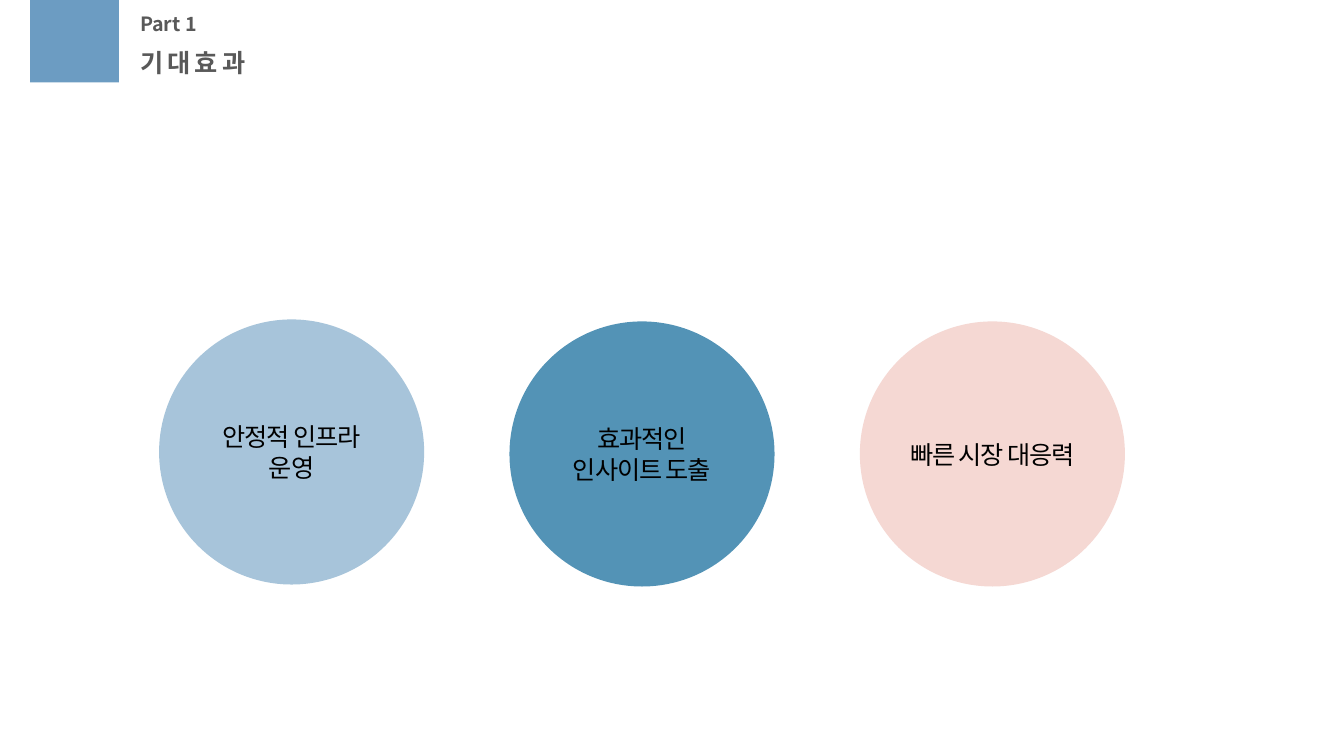
from dataclasses import dataclass

from lxml import etree
from pptx import Presentation
from pptx.dml.color import RGBColor
from pptx.enum.shapes import MSO_SHAPE
from pptx.enum.text import MSO_ANCHOR, MSO_AUTO_SIZE, PP_ALIGN
from pptx.oxml.ns import qn
from pptx.util import Cm, Pt

RECTANGLE, OVAL = MSO_SHAPE.RECTANGLE, MSO_SHAPE.OVAL
MIDDLE = MSO_ANCHOR.MIDDLE
LEFT, CENTER = PP_ALIGN.LEFT, PP_ALIGN.CENTER
FIT_SHAPE = MSO_AUTO_SIZE.SHAPE_TO_FIT_TEXT


@dataclass(frozen=True)
class Theme:
    font: str = "Noto Sans CJK KR"
    marker: str = "6C9CC2"
    light_blue: str = "A7C4DA"
    deep_blue: str = "5393B6"
    pink: str = "F5D8D3"
    heading: str = "595959"
    body: str = "000000"
    part_size: int = 14
    main_size: int = 18


THEME = Theme()
CIRCLE_SIZE = 6.68
CIRCLE_LEFT = 4.01
CIRCLE_PITCH = 8.83
EFFECTS = [
    ("안정적 인프라\n운영", THEME.light_blue, 8.05),
    ("효과적인\n인사이트 도출", THEME.deep_blue, 8.1),
    ("빠른 시장 대응력", THEME.pink, 8.1),
]


def write_text(frame, text, *, size, color, bold=False, spacing=0, align=LEFT):
    """Write one paragraph per line; spacing is between letters, in points."""
    for index, line in enumerate(text.split("\n")):
        para = frame.add_paragraph() if index else frame.paragraphs[0]
        para.alignment = align
        span = para.add_run()
        span.text = line
        span.font.name = THEME.font
        span.font.size = Pt(size)
        span.font.bold = bold
        span.font.color.rgb = RGBColor.from_string(color)
        properties = span.font._element
        properties.set("spc", str(round(spacing * 100)))
        etree.SubElement(properties, qn("a:ea"), typeface=THEME.font)


def add_filled_shape(page, kind, left, top, width, height, color):
    shape = page.shapes.add_shape(kind, Cm(left), Cm(top), Cm(width), Cm(height))
    shape.shadow.inherit = False
    shape.fill.solid()
    shape.fill.fore_color.rgb = RGBColor.from_string(color)
    shape.line.fill.background()
    return shape


def add_heading(page, text, top, width, height, size, spacing=0):
    box = page.shapes.add_textbox(Cm(3.28), Cm(top), Cm(width), Cm(height))
    frame = box.text_frame
    frame.word_wrap = False
    frame.auto_size = FIT_SHAPE
    write_text(frame, text, size=size, color=THEME.heading, bold=True, spacing=spacing)


def add_effect_circle(page, text, left, top, color):
    circle = add_filled_shape(page, OVAL, left, top, CIRCLE_SIZE, CIRCLE_SIZE, color)
    frame = circle.text_frame
    frame.word_wrap = True
    frame.vertical_anchor = MIDDLE
    frame.margin_left = frame.margin_right = 0
    frame.margin_top = frame.margin_bottom = 0
    write_text(frame, text, size=THEME.main_size, color=THEME.body,
               spacing=-0.8, align=CENTER)


def main():
    deck = Presentation()
    deck.slide_width, deck.slide_height = Cm(33.87), Cm(19.05)
    page = deck.slides.add_slide(deck.slide_layouts[6])

    add_filled_shape(page, RECTANGLE, 0.76, 0, 2.24, 2.08, THEME.marker)
    add_heading(page, "Part 1", 0.18, 1.96, 0.86, THEME.part_size)
    add_heading(page, "기대효과", 1.07, 3.51, 1.02, THEME.main_size, spacing=3)
    for index, (text, color, top) in enumerate(EFFECTS):
        add_effect_circle(page, text, CIRCLE_LEFT + index * CIRCLE_PITCH, top, color)

    deck.save("out.pptx")


if __name__ == "__main__":
    main()
